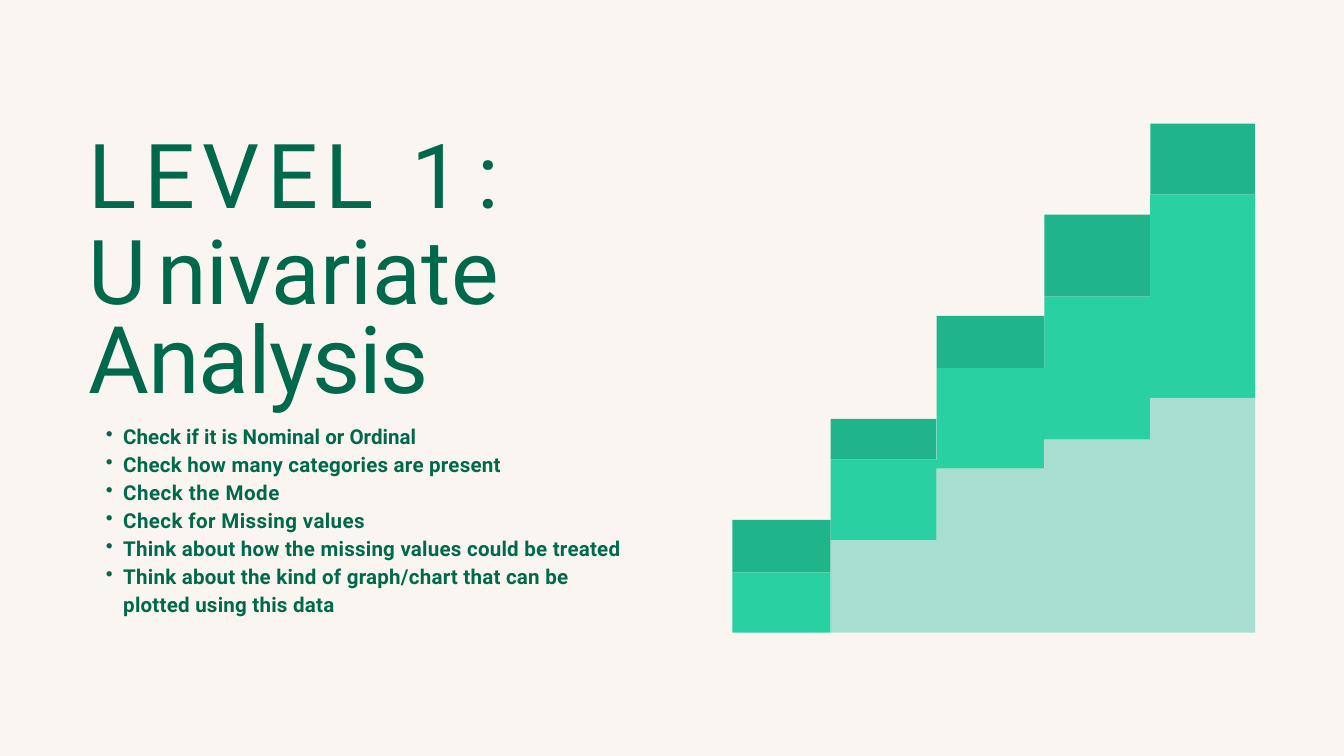
from pptx import Presentation
from pptx.dml.color import RGBColor
from pptx.enum.shapes import MSO_SHAPE as Preset
from pptx.oxml.ns import qn
from pptx.util import Cm, Pt
from lxml.etree import SubElement

CREAM, FOREST = "FAF5F1", "00694B"
TREAD, RISER, BASE = "20B48B", "28D0A2", "A8DED0"
FLOOR = 11.96

EDGES = [13.84, 15.7, 17.7, 19.74, 21.74, 23.72]
TREAD_TOPS = [9.83, 7.92, 5.97, 4.06, 2.34]
RISER_TOPS = [10.82, 8.69, 6.96, 5.61, 3.68]
BASE_TOPS = [FLOOR, 10.21, 8.86, 8.31, 7.52]

HEADING = [
    ([("LEVEL ", 4), ("1 ", -3.6), (":", -8.3)], 48, 52.1),
    ([("U", 5.4), ("nivariate", 0.1)], 48, 51.4),
    ([("Analysis", -0.7)], 50, 48.2),
]
CHECKS = [
    ("Check if it is Nominal or Ordinal", 0),
    ("Check how many categories are present", 0.12),
    ("Check the Mode", 0.25),
    ("Check for Missing values", 0.2),
    ("Think about how the missing values could be treated", 0.12),
    ("Think about the kind of graph/chart that can be\vplotted using this data", 0.12),
]


def color(hex_value):
    """Turn a hex string into a colour."""
    return RGBColor.from_string(hex_value)


def paint(shape, hex_value):
    """Give a shape a flat fill without line or shadow."""
    shape.fill.solid()
    shape.fill.fore_color.rgb = color(hex_value)
    shape.line.fill.background()
    shape.shadow.inherit = False


def add_block(slide, left, top, right, bottom, hex_value):
    """Add a plain rectangle given by its edges in centimetres."""
    block = slide.shapes.add_shape(
        Preset.RECTANGLE, Cm(left), Cm(top), Cm(right - left), Cm(bottom - top))
    paint(block, hex_value)


def stairs(edges, tops):
    """List the corners of a stair line from left to right."""
    return [(x, top) for left, right, top in zip(edges, edges[1:], tops)
            for x in (left, right)]


def add_band(slide, upper, lower, hex_value):
    """Fill the area between two lines that run from left to right."""
    outline = [(Cm(x), Cm(y)) for x, y in upper + lower[::-1]]
    builder = slide.shapes.build_freeform(*outline[0])
    builder.add_line_segments(outline[1:], close=True)
    paint(builder.convert_to_shape(), hex_value)


def add_staircase(slide):
    """Draw the treads, the risers and the base of the staircase."""
    for left, right, top, bottom in zip(EDGES, EDGES[1:], TREAD_TOPS, RISER_TOPS):
        add_block(slide, left, top, right, bottom, TREAD)
    add_block(slide, EDGES[0], RISER_TOPS[0], EDGES[1], FLOOR, RISER)
    risers = stairs(EDGES[1:], RISER_TOPS[1:])
    base = stairs(EDGES[1:], BASE_TOPS[1:])
    add_band(slide, risers, base, RISER)
    add_band(slide, base, [(EDGES[1], FLOOR), (EDGES[-1], FLOOR)], BASE)


def add_text_frame(slide, left, top, width, height):
    """Add a text box without margins and return its frame."""
    frame = slide.shapes.add_textbox(
        Cm(left), Cm(top), Cm(width), Cm(height)).text_frame
    frame.word_wrap = True
    frame.margin_left = frame.margin_right = 0
    frame.margin_top = frame.margin_bottom = 0
    return frame


def add_line(frame, index, size, leading, bold=False):
    """Start a styled paragraph with exact line spacing."""
    line = frame.add_paragraph() if index else frame.paragraphs[0]
    line.line_spacing = Pt(leading)
    font = line.font
    font.name, font.size, font.bold = "Roboto", Pt(size), bold
    font.color.rgb = color(FOREST)
    return line


def track(run, points):
    """Set the letter spacing of a run."""
    run.font._element.set("spc", str(round(points * 100)))


def add_bullet(line, indent):
    """Hang a round bullet in front of a paragraph."""
    properties = line._p.get_or_add_pPr()
    properties.set("marL", str(Cm(indent)))
    properties.set("indent", str(-Cm(indent)))
    bullet = SubElement(properties, qn("a:buChar"), char="•")
    default_font = properties.find(qn("a:defRPr"))
    if default_font is not None:
        default_font.addprevious(bullet)


def add_heading(slide):
    """Write the three heading lines."""
    frame = add_text_frame(slide, 1.68, 2.44, 9.5, 5.4)
    for index, (parts, size, leading) in enumerate(HEADING):
        line = add_line(frame, index, size, leading)
        for wording, spacing in parts:
            run = line.add_run()
            run.text = wording
            track(run, spacing)


def add_checklist(slide):
    """Write the bulleted list of checks."""
    frame = add_text_frame(slide, 2, 7.96, 11, 3.7)
    for index, (check, spacing) in enumerate(CHECKS):
        line = add_line(frame, index, 11, 15, bold=True)
        line.text = check
        for run in line.runs:
            track(run, spacing)
        add_bullet(line, 0.33)


def main():
    """Build the slide and save it."""
    deck = Presentation()
    deck.slide_width, deck.slide_height = Cm(25.4), Cm(14.29)
    slide = deck.slides.add_slide(deck.slide_layouts[6])
    slide.background.fill.solid()
    slide.background.fill.fore_color.rgb = color(CREAM)
    add_staircase(slide)
    add_heading(slide)
    add_checklist(slide)
    deck.save("out.pptx")


if __name__ == "__main__":
    main()
